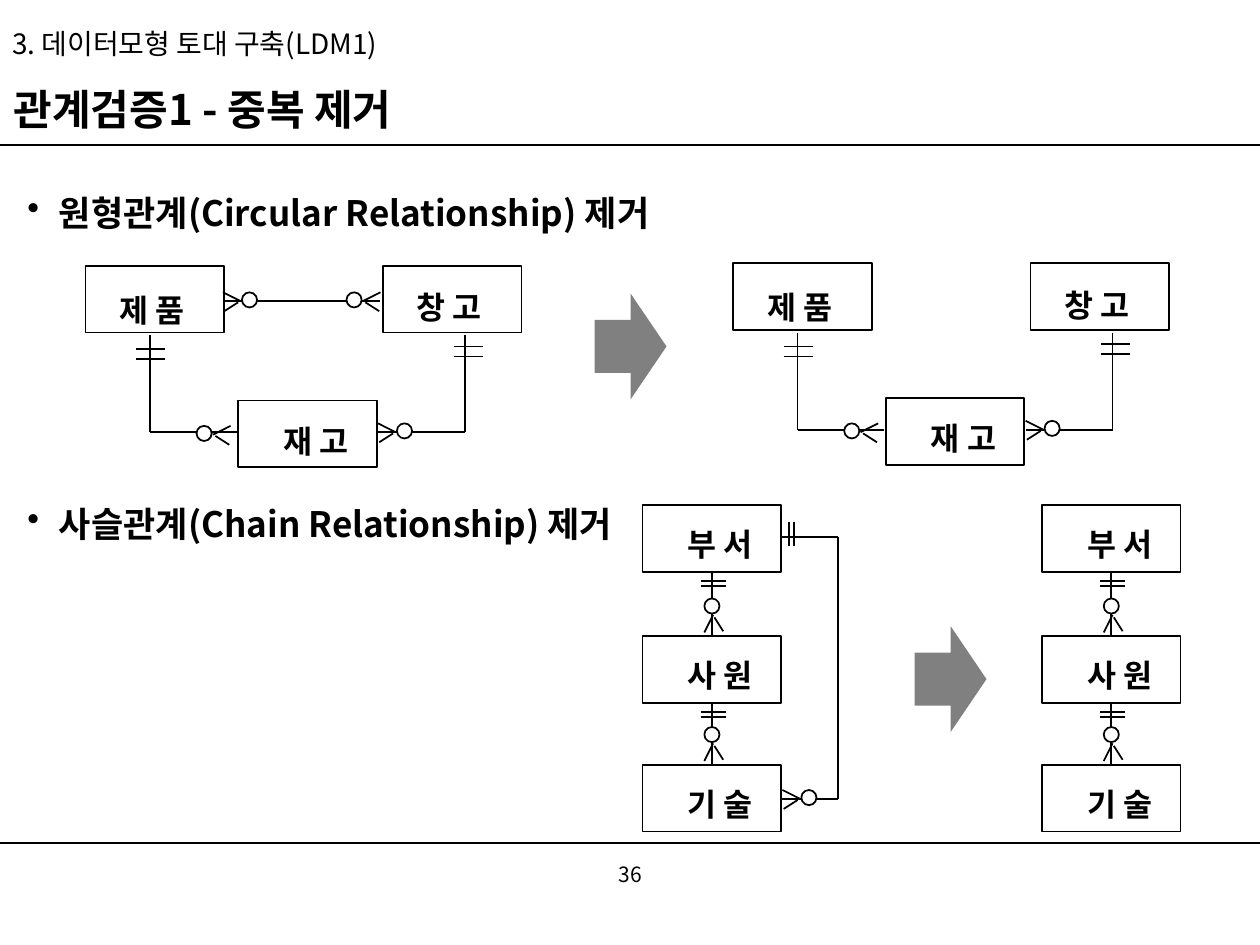
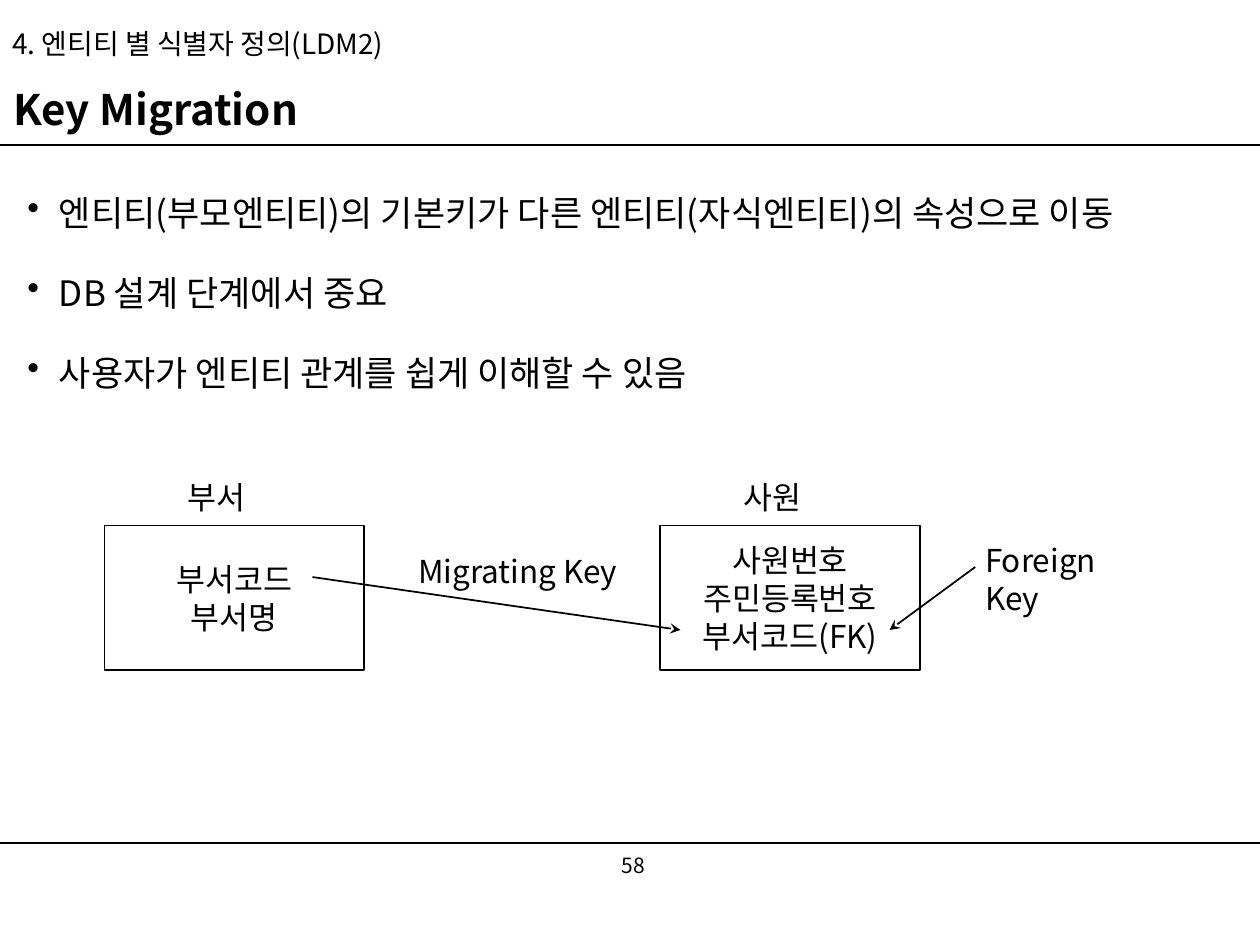
"""Build two data-modelling slides: redundant relationships and key migration."""
from dataclasses import dataclass
from itertools import pairwise

from lxml.etree import SubElement
from pptx import Presentation
from pptx.dml.color import RGBColor
from pptx.enum.shapes import MSO_CONNECTOR, MSO_SHAPE
from pptx.enum.text import MSO_ANCHOR, PP_ALIGN
from pptx.oxml.ns import qn
from pptx.shapes.autoshape import Shape
from pptx.shapes.connector import Connector
from pptx.slide import Slide
from pptx.util import Cm, Length, Pt

COLORS = {"ink": "000000", "paper": "FFFFFF", "arrow": "808080"}
FONT = "Noto Sans CJK KR"
CM_PER_INCH = 2.54
PAGE_WIDTH, PAGE_HEIGHT = 10, 7.5
RULE_WIDTH = 10.03
RULE_TOPS = (1.15, 6.69)
BODY_PLACE = (0.12, 1.31, 9.76, 5.2)
ENTITY_SIZE = (1.1, 0.53)
TABLE_SIZE = (2.06, 1.15)
CIRCLE = 0.12
LABEL_LEADING = 21.5
BODY_LEADING = 35.7

Point = tuple[float, float]
Place = tuple[float, float, float, float]


@dataclass(frozen=True)
class Entity:
    """An entity box, its label and the label offset inside the box."""
    left: float
    top: float
    name: str
    label_left: float
    label_top: float


@dataclass(frozen=True)
class CrowFoot:
    """A zero-or-many mark: its origin and the direction away from the entity."""
    x: float
    y: float
    direction: str

    def at(self, along: float, side: float) -> Point:
        """Turn distances along and across the mark into a page position."""
        if self.direction == "up":
            return self.x + side, self.y - along
        sign = 1 if self.direction == "right" else -1
        return self.x + sign * along, self.y + side


@dataclass(frozen=True)
class DoubleBar:
    """An exactly-one mark: two parallel strokes."""
    left: float
    top: float
    length: float
    gap: float
    upright: bool = False


def length(inches: float) -> Length:
    """Convert inches to a length."""
    return Cm(inches * CM_PER_INCH)


def color(name: str) -> RGBColor:
    """Look up a named colour."""
    return RGBColor.from_string(COLORS[name])


def write(box: Shape, text: str, *, size: float = 18, bold: bool = False,
          align: PP_ALIGN = PP_ALIGN.LEFT, anchor: MSO_ANCHOR = MSO_ANCHOR.TOP,
          leading: float | Length = Pt(LABEL_LEADING), gap: float = 0,
          bullet: bool = False) -> None:
    """Write one paragraph per line of text into a box."""
    frame = box.text_frame
    frame.word_wrap = True
    frame.vertical_anchor = anchor
    for index, line in enumerate(text.split("\n")):
        para = frame.add_paragraph() if index else frame.paragraphs[0]
        para.alignment = align
        para.line_spacing = leading
        if index:
            para.space_before = Pt(gap)
        if bullet:
            properties = para._p.get_or_add_pPr()
            properties.set("marL", str(length(0.25)))
            properties.set("indent", str(-length(0.25)))
            SubElement(properties, qn("a:buChar")).set("char", "•")
        span = para.add_run()
        span.text = line
        span.font.size = Pt(size)
        span.font.bold = bold
        span.font.name = FONT
        span.font.color.rgb = color("ink")
        SubElement(span._r.get_or_add_rPr(), qn("a:ea")).set("typeface", FONT)


def add_box(page: Slide, place: Place) -> Shape:
    """Add an empty text box."""
    return page.shapes.add_textbox(*map(length, place))


def add_shape(page: Slide, kind: MSO_SHAPE, place: Place, fill: str = "paper",
              outlined: bool = True) -> Shape:
    """Add a flat preset shape."""
    shape = page.shapes.add_shape(kind, *map(length, place))
    shape.shadow.inherit = False
    shape.fill.solid()
    shape.fill.fore_color.rgb = color(fill)
    if outlined:
        shape.line.color.rgb = color("ink")
        shape.line.width = Pt(1)
    else:
        shape.line.fill.background()
    return shape


def add_line(page: Slide, start: Point, end: Point, width: float = 1,
             arrow: bool = False) -> Connector:
    """Add a straight line, with an arrowhead at its end if asked."""
    line = page.shapes.add_connector(
        MSO_CONNECTOR.STRAIGHT, *map(length, (*start, *end)))
    line.line.color.rgb = color("ink")
    line.line.width = Pt(width)
    if arrow:
        SubElement(line.line._get_or_add_ln(), qn("a:tailEnd")).set("type", "stealth")
    SubElement(line._element.spPr, qn("a:effectLst"))
    return line


def add_route(page: Slide, *points: Point) -> None:
    """Join successive points with lines."""
    for start, end in pairwise(points):
        add_line(page, start, end)


def add_entity(page: Slide, entity: Entity) -> None:
    """Draw an entity box with its label."""
    add_shape(page, MSO_SHAPE.RECTANGLE, (entity.left, entity.top, *ENTITY_SIZE))
    label = add_box(page, (entity.left + entity.label_left,
                           entity.top + entity.label_top, 0.8, 0.4))
    write(label, entity.name, bold=True)


def add_crow_foot(page: Slide, foot: CrowFoot) -> None:
    """Draw a circle and two splayed toes."""
    x, y = foot.at(0.21, -0.01)
    add_shape(page, MSO_SHAPE.OVAL, (x - CIRCLE / 2, y - CIRCLE / 2, CIRCLE, CIRCLE))
    add_line(page, foot.at(0.12, 0.01), foot.at(0.01, 0.08))
    add_line(page, foot.at(0.14, 0), foot.at(0, -0.07))


def add_double_bar(page: Slide, bar: DoubleBar) -> None:
    """Draw two parallel strokes."""
    for shift in (0, bar.gap):
        if bar.upright:
            x = bar.left + shift
            add_line(page, (x, bar.top), (x, bar.top + bar.length))
        else:
            y = bar.top + shift
            add_line(page, (bar.left, y), (bar.left + bar.length, y))


def add_arrow(page: Slide, left: float, top: float) -> None:
    """Draw the grey before-to-after arrow."""
    add_shape(page, MSO_SHAPE.RIGHT_ARROW, (left, top, 0.57, 0.84), "arrow", False)


def add_circular_model(page: Slide, left: float, top: float, redundant: bool) -> None:
    """Draw product, warehouse and stock, with the redundant link if asked."""
    for entity in (Entity(left, top, "제 품", 0.17, 0.15),
                   Entity(left + 1.21, top + 1.07, "재 고", 0.26, 0.12),
                   Entity(left + 2.36, top, "창 고", 0.17, 0.13)):
        add_entity(page, entity)
    bend = top + 1.32
    for x, stock_edge in ((left + 0.51, left + 1.2), (left + 3.01, left + 2.32)):
        add_route(page, (x, top + 0.55), (x, bend), (stock_edge, bend))
    feet = [CrowFoot(left + 1.15, top + 1.34, "left"),
            CrowFoot(left + 2.32, bend, "right")]
    if redundant:
        add_line(page, (left + 1.09, top + 0.28), (left + 2.34, top + 0.28))
        feet += [CrowFoot(left + 1.09, top + 0.28, "right"),
                 CrowFoot(left + 2.34, top + 0.28, "left")]
    for foot in feet:
        add_crow_foot(page, foot)
    add_double_bar(page, DoubleBar(left + 0.4, top + 0.66, 0.23, 0.08))
    add_double_bar(page, DoubleBar(left + 2.92, top + 0.64, 0.23, 0.08))


def add_chain_model(page: Slide, left: float, redundant: bool) -> None:
    """Draw department, employee and skill, with the redundant link if asked."""
    tops = (4.01, 5.05, 6.07)
    for top, name in zip(tops, ("부 서", "사 원", "기 술")):
        add_entity(page, Entity(left, top, name, 0.26, 0.11))
    middle = left + 0.55
    for upper, lower in pairwise(tops):
        add_line(page, (middle, upper + ENTITY_SIZE[1]), (middle, lower))
        add_crow_foot(page, CrowFoot(middle + 0.01, lower - 0.03, "up"))
        add_double_bar(page, DoubleBar(left + 0.46, upper + 0.6, 0.2, 0.04))
    if redundant:
        edge, bend = left + 1.1, left + 1.55
        add_route(page, (edge, 4.26), (bend, 4.26), (bend, 6.34), (edge, 6.34))
        add_crow_foot(page, CrowFoot(edge + 0.01, 6.34, "right"))
        add_double_bar(page, DoubleBar(edge + 0.06, 4.14, 0.19, 0.04, upright=True))


def add_page(deck: Presentation, chapter: str, title: str, number: str,
             number_place: Point) -> Slide:
    """Add a slide with rules, headings and page number."""
    page = deck.slides.add_slide(deck.slide_layouts[6])
    for top in RULE_TOPS:
        add_line(page, (0, top), (RULE_WIDTH, top), 0.75)
    write(add_box(page, (*number_place, 2.25, 0.4)), number, size=12,
          align=PP_ALIGN.CENTER, anchor=MSO_ANCHOR.MIDDLE, leading=1.0)
    write(add_box(page, (0, 0.1, RULE_WIDTH, 0.52)), chapter, size=16,
          anchor=MSO_ANCHOR.MIDDLE, leading=0.9)
    write(add_box(page, (0.01, 0.63, 9.76, 0.52)), title, size=24, bold=True,
          anchor=MSO_ANCHOR.MIDDLE, leading=0.9)
    return page


def add_bullets(page: Slide, text: str, gap: float, bold: bool = False) -> None:
    """Write the bulleted body."""
    write(add_box(page, BODY_PLACE), text, size=20, bold=bold,
          leading=Pt(BODY_LEADING), gap=gap, bullet=True)


def build_redundancy_page(deck: Presentation) -> None:
    """Show circular and chain relationships before and after clean-up."""
    page = add_page(deck, "3. 데이터모형 토대 구축(LDM1)", "관계검증1 - 중복 제거",
                    "36", (3.88, 6.74))
    add_bullets(page, "원형관계(Circular Relationship) 제거\n"
                "사슬관계(Chain Relationship) 제거", gap=142, bold=True)
    add_circular_model(page, 0.68, 2.11, redundant=True)
    add_circular_model(page, 5.82, 2.09, redundant=False)
    add_arrow(page, 4.72, 2.33)
    add_chain_model(page, 5.1, redundant=True)
    add_chain_model(page, 8.27, redundant=False)
    add_arrow(page, 7.26, 4.97)


def build_migration_page(deck: Presentation) -> None:
    """Show a parent key moving into a child entity."""
    page = add_page(deck, "4. 엔티티 별 식별자 정의(LDM2)", "Key Migration",
                    "58", (3.9, 6.67))
    add_bullets(page, "엔티티(부모엔티티)의 기본키가 다른 엔티티(자식엔티티)의 속성으로 이동\n"
                "DB 설계 단계에서 중요\n사용자가 엔티티 관계를 쉽게 이해할 수 있음", gap=10)
    for left, name, columns in ((0.83, "부서", "부서코드\n부서명"),
                                (5.24, "사원", "사원번호\n주민등록번호\n부서코드(FK)")):
        table = add_shape(page, MSO_SHAPE.RECTANGLE, (left, 4.17, *TABLE_SIZE))
        write(table, columns, align=PP_ALIGN.CENTER, anchor=MSO_ANCHOR.MIDDLE)
        write(add_box(page, (left + 0.56, 3.75, 0.71, 0.4)), name)
    add_line(page, (2.48, 4.58), (5.4, 5), arrow=True)
    add_line(page, (7.74, 4.5), (7.06, 5), arrow=True)
    write(add_box(page, (3.22, 4.33, 1.81, 0.4)), "Migrating Key")
    write(add_box(page, (7.72, 4.25, 1.5, 0.4)), "Foreign Key")


def main() -> None:
    """Build and save the deck."""
    deck = Presentation()
    deck.slide_width, deck.slide_height = length(PAGE_WIDTH), length(PAGE_HEIGHT)
    build_redundancy_page(deck)
    build_migration_page(deck)
    deck.save("out.pptx")


if __name__ == "__main__":
    main()
